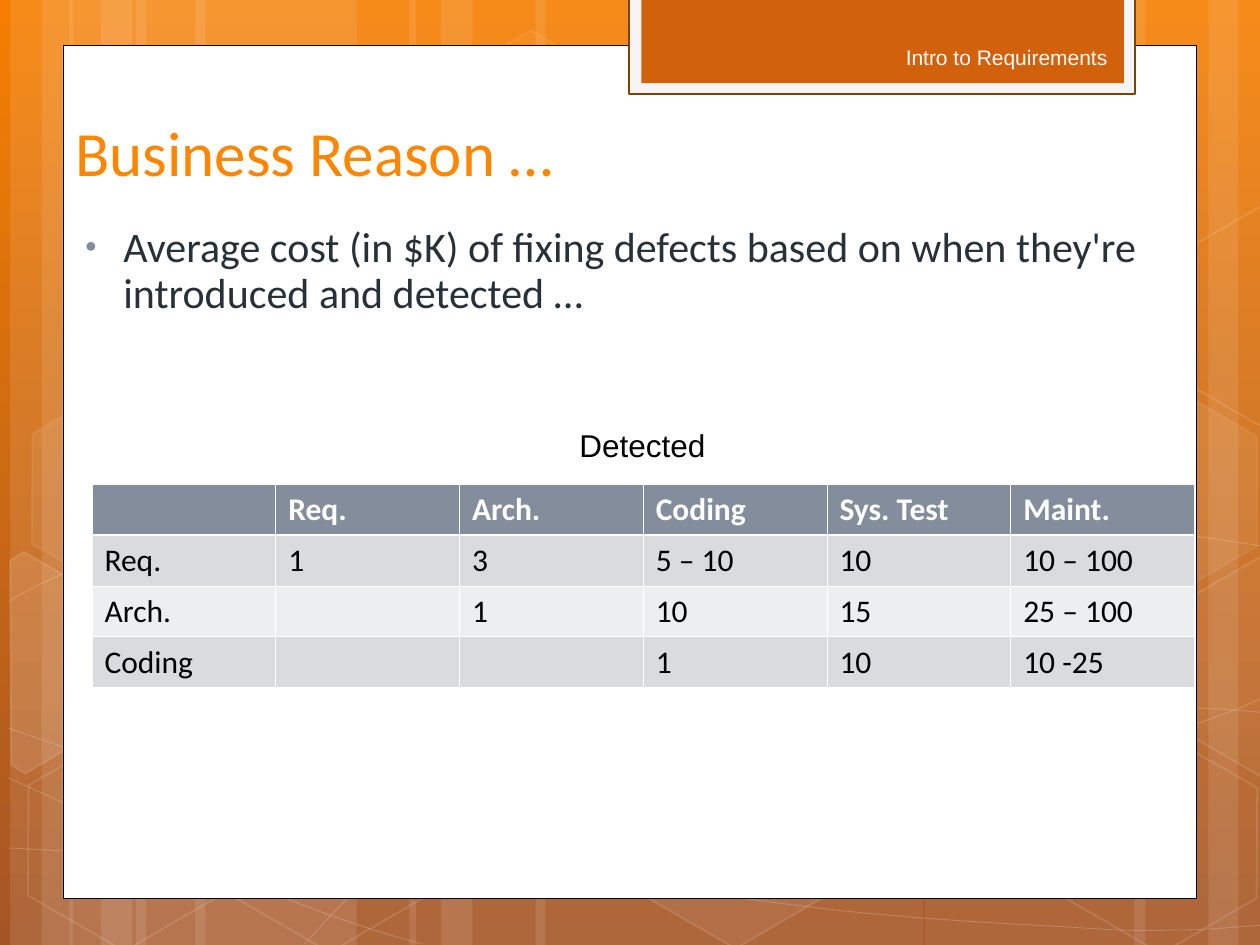
from lxml.etree import SubElement
from pptx import Presentation
from pptx.dml.color import RGBColor
from pptx.enum.shapes import MSO_SHAPE
from pptx.enum.text import MSO_ANCHOR, PP_ALIGN
from pptx.oxml.ns import qn
from pptx.util import Inches, Pt

WHITE = RGBColor(0xFF, 0xFF, 0xFF)
BLACK = RGBColor(0, 0, 0)
AMBER = RGBColor(0xF5, 0x7E, 0x00)
RUST = RGBColor(0xA5, 0x55, 0x25)
ORANGE = RGBColor(0xD2, 0x61, 0x0C)
BROWN = RGBColor(0x7F, 0x43, 0x00)
PALE = RGBColor(0xF5, 0xF5, 0xF5)
TITLE = RGBColor(0xFF, 0x86, 0x00)
INK = RGBColor(0x28, 0x31, 0x38)
SNOW = RGBColor(0xFE, 0xFE, 0xFE)
SLATE = RGBColor(0x83, 0x8D, 0x9B)
BANDS = RGBColor(0xD9, 0xDB, 0xDE), RGBColor(0xED, 0xEE, 0xEF)

STRIPES = [(1.08, 1.75), (0.08, 0.5), (0.33, 0.83), (1.55, 1.75), (0.55, 0.5),
           (0.8, 0.83), (7.34, 1.75), (9.59, 0.5), (9, 0.83), (4.25, 3.08),
           (3.25, 0.5), (3.5, 0.83)]

# Each curve is a start point, then three points per cubic Bezier piece.
CURVES = [
    [(0.07, 6.73), (0.61, 6.76), (1.15, 6.79), (1.9, 6.78), (2.65, 6.77),
     (3.58, 6.75), (4.58, 6.65), (5.58, 6.55), (7, 6.36), (7.92, 6.17),
     (8.83, 5.98), (9.77, 5.68), (10.07, 5.51)],
    [(0.07, 4.77), (0.36, 4.61), (0.65, 4.46), (1.21, 4.31), (1.78, 4.16),
     (2.59, 3.94), (3.47, 3.87), (4.36, 3.8), (5.44, 3.79), (6.54, 3.87),
     (7.64, 3.95), (9.47, 4.26), (10.07, 4.34)],
    [(0.06, 6.17), (1.27, 6.72), (2.47, 7.27), (3.35, 7.49)],
    [(0.07, 5.78), (0.38, 5.89), (0.7, 6), (1.28, 6.16), (1.86, 6.31),
     (2.73, 6.56), (3.57, 6.73), (4.4, 6.9), (5.45, 7.08), (6.28, 7.18),
     (7.11, 7.29), (8, 7.33), (8.53, 7.36), (9.06, 7.4), (9.19, 7.38),
     (9.45, 7.38), (9.71, 7.37), (9.89, 7.35), (10.07, 7.34)],
    [(2.42, 7.49), (2.6, 7.29), (2.78, 7.09), (3.02, 6.91), (3.26, 6.72),
     (3.6, 6.53), (3.88, 6.39), (4.16, 6.25), (4.33, 6.19), (4.69, 6.09),
     (5.06, 5.99), (5.73, 5.85), (6.08, 5.78), (6.44, 5.71), (6.49, 5.71),
     (6.8, 5.69), (7.11, 5.66), (7.6, 5.63), (7.94, 5.62), (8.29, 5.61),
     (8.86, 5.62), (8.86, 5.62), (8.86, 5.62), (9.53, 5.62), (9.53, 5.62),
     (9.71, 5.63), (9.88, 5.64), (9.97, 5.65), (10.06, 5.66), (10.03, 5.65),
     (10.06, 5.66)],
]

# Left, top, fill opacity and line opacity in percent.
HEXES = [(3.34, 0.36, 4, 8), (4.96, 5.89, 6, 12), (0.11, 5.91, 0, 12),
         (0.14, 3.12, 7, 8), (1.74, 5.92, 0, 12), (8.34, 5.93, 0, 12),
         (8.34, 3.14, 7, 8)]

# Fill opacity, then the corners of a hexagon cut by the slide edge.
CUTS = [
    (10, [(0.08, 4.45), (0.19, 4.38), (0.96, 4.83), (0.95, 5.7), (0.2, 6.14),
          (0.09, 6.07)]),
    (4, [(9.26, 4.85), (10.02, 4.41), (10.09, 4.46), (10.09, 6.13),
         (10.02, 6.17), (9.26, 5.73)]),
    (0, [(9.26, 2.07), (10.02, 1.63), (10.1, 1.68), (10.09, 3.35),
         (10.02, 3.39), (9.26, 2.95)]),
]

COSTS = [
    ["", "Req.", "Arch.", "Coding", "Sys. Test", "Maint."],
    ["Req.", "1", "3", "5 – 10", "10", "10 – 100"],
    ["Arch.", "", "1", "10", "15", "25 – 100"],
    ["Coding", "", "", "1", "10", "10 -25"],
]


def bend(shape):
    """Turn each three straight steps of a freeform into one Bezier piece."""
    trail = next(shape._element.iter(qn("a:path")))
    steps = trail.findall(qn("a:lnTo"))
    for i in range(0, len(steps), 3):
        piece = SubElement(trail, qn("a:cubicBezTo"))
        for step in steps[i:i + 3]:
            piece.append(step[0])
            trail.remove(step)


def fade(shape, alpha, *route):
    """Set the opacity in percent of the solid fill found along route."""
    tags = "/".join(qn(tag) for tag in (*route, "a:solidFill", "a:srgbClr"))
    color = shape._element.spPr.find(tags)
    SubElement(color, qn("a:alpha"), val=str(alpha * 1000))


class Page:
    def __init__(self, slide):
        self.slide = slide
        self.shapes = slide.shapes
        self.body = {"name": "Calibri", "size": Pt(18), "bold": False}

    def ground(self, top, base):
        fill = self.slide.background.fill
        fill.gradient()
        fill.gradient_angle = 270
        for stop, color in zip(fill.gradient_stops, (top, base)):
            stop.color.rgb = color

    def paint(self, shape, fill=None, line=None, width=1, alpha=100, sheer=100):
        """Set fill and line, with alpha and sheer as their opacity."""
        shape.shadow.inherit = False
        if fill is None or alpha == 0:
            shape.fill.background()
        else:
            shape.fill.solid()
            shape.fill.fore_color.rgb = fill
            if alpha < 100:
                fade(shape, alpha)
        if line is None:
            shape.line.fill.background()
        else:
            shape.line.color.rgb = line
            shape.line.width = Pt(width)
            if sheer < 100:
                fade(shape, sheer, "a:ln")

    def block(self, box, kind=MSO_SHAPE.RECTANGLE, **look):
        shape = self.shapes.add_shape(kind, *map(Inches, box))
        self.paint(shape, **look)
        return shape

    def hex(self, left, top, alpha, sheer):
        shape = self.block((left, top, 1.75, 1.52), MSO_SHAPE.HEXAGON, fill=WHITE,
                           line=WHITE, alpha=alpha, sheer=sheer)
        shape.adjustments[0] = 0.285
        shape.rotation = 30

    def trace(self, points, close, **look):
        first, *rest = [(Inches(x), Inches(y)) for x, y in points]
        pen = self.shapes.build_freeform(*first)
        pen.add_line_segments(rest, close=close)
        shape = pen.convert_to_shape()
        self.paint(shape, line=WHITE, **look)
        return shape

    def style(self, font, color, **extra):
        for key, value in {**self.body, **extra}.items():
            setattr(font, key, value)
        font.color.rgb = color

    def text(self, words, box, color, anchor=MSO_ANCHOR.TOP, align=PP_ALIGN.LEFT,
             wrap=True, bullet=None, **extra):
        frame = self.shapes.add_textbox(*map(Inches, box)).text_frame
        frame.word_wrap = wrap
        frame.vertical_anchor = anchor
        para = frame.paragraphs[0]
        para.text = words
        para.alignment = align
        if bullet:
            para.line_spacing = 0.9
            props = para._p.get_or_add_pPr()
            props.set("marL", str(Inches(0.38)))
            props.set("indent", str(Inches(-0.3)))
            SubElement(SubElement(props, qn("a:buClr")), qn("a:srgbClr"),
                       val=str(bullet))
            SubElement(props, qn("a:buSzPct"), val="76000")
            SubElement(props, qn("a:buFont"), typeface="Arial")
            SubElement(props, qn("a:buChar"), char="•")
        self.style(para.runs[0].font, color, **extra)

    def edge(self, cell, side, width):
        line = SubElement(cell._tc.get_or_add_tcPr(), qn(f"a:ln{side}"),
                          w=str(Pt(width)))
        SubElement(SubElement(line, qn("a:solidFill")), qn("a:srgbClr"),
                   val=str(WHITE))

    def table(self, rows, box):
        table = self.shapes.add_table(len(rows), len(rows[0]),
                                      *map(Inches, box)).table
        table.horz_banding = False
        for r, row in enumerate(rows):
            head = r == 0
            for c, words in enumerate(row):
                cell = table.cell(r, c)
                cell.text = words
                self.style(cell.text_frame.paragraphs[0].font,
                           WHITE if head else BLACK, bold=head)
                thick = {0: "B", 1: "T"}.get(r)
                for side in "LRTB":
                    self.edge(cell, side, 1.47 if side == thick else 0.45)
                cell.fill.solid()
                cell.fill.fore_color.rgb = SLATE if head else BANDS[(r - 1) % 2]


def main():
    deck = Presentation()
    deck.slide_width, deck.slide_height = Inches(10), Inches(7.5)
    page = Page(deck.slides.add_slide(deck.slide_layouts[6]))

    page.ground(AMBER, RUST)
    for left, width in STRIPES:
        page.block((left, 0, width, 7.5), fill=WHITE, alpha=10)
    for curve in CURVES:
        bend(page.trace(curve, False, width=0.5, sheer=20))
    for spot in HEXES:
        page.hex(*spot)
    for alpha, points in CUTS:
        page.trace(points, True, fill=WHITE, alpha=alpha, sheer=12)

    page.block((0.5, 0.36, 9, 6.77), fill=WHITE, line=BLACK, width=0.5)
    page.block((4.99, -0.02, 4.02, 0.77), fill=PALE, line=BROWN, width=1.25)
    page.block((5.09, -0.02, 3.83, 0.68), fill=ORANGE)

    page.text("Business Reason …", (0.5, 0.3, 9, 1.25), TITLE,
              anchor=MSO_ANCHOR.BOTTOM, size=Pt(36))
    page.text("Average cost (in $K) of fixing defects based on when they're "
              "introduced and detected …", (0.5, 1.75, 9.08, 0.83), INK,
              bullet=SLATE, size=Pt(24))
    page.text("Intro to Requirements", (6.56, 0.25, 2.33, 0.4), SNOW,
              anchor=MSO_ANCHOR.MIDDLE, align=PP_ALIGN.RIGHT, name="Arial",
              size=Pt(12))
    page.text("Detected", (4.5, 3.33, 1.2, 0.4), BLACK, wrap=False, name="Arial")
    page.table(COSTS, (0.73, 3.84, 8.75, 1.62))
    deck.save("out.pptx")


if __name__ == "__main__":
    main()
